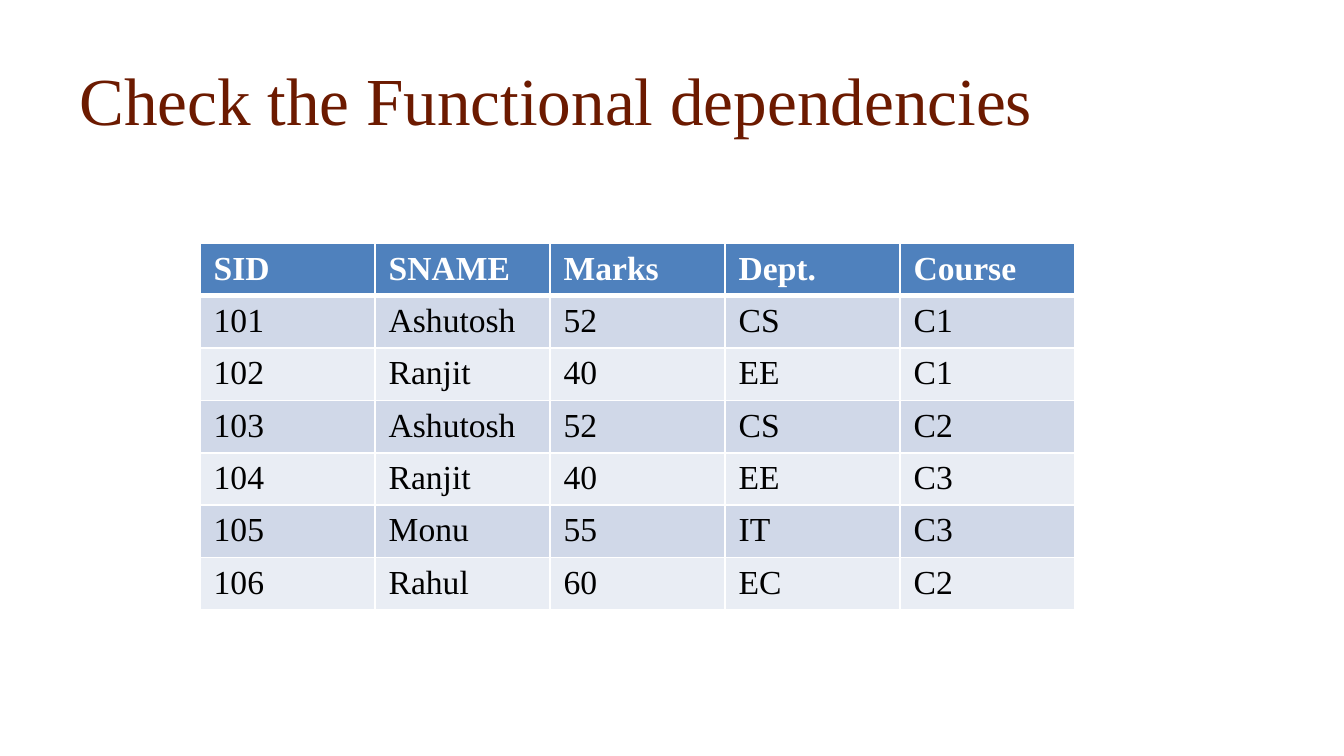
from dataclasses import dataclass

from lxml.etree import SubElement
from pptx import Presentation
from pptx.dml.color import RGBColor
from pptx.enum.text import MSO_ANCHOR, PP_ALIGN
from pptx.oxml.ns import qn
from pptx.util import Inches, Pt


@dataclass(frozen=True)
class Theme:
    font: str = "Times New Roman"
    title_size: int = 36
    cell_size: int = 18
    title: str = "6C1A00"
    header: str = "4F81BD"
    header_text: str = "FFFFFF"
    body_text: str = "000000"
    bands: tuple = ("D0D8E8", "E9EDF4")
    rule: str = "FFFFFF"
    thin: int = 1
    thick: int = 3


THEME = Theme()
WIDTH = Inches(10)
HEIGHT = WIDTH * 9 // 16
TITLE = "Check the Functional dependencies"
STUDENTS = [
    ("SID", "SNAME", "Marks", "Dept.", "Course"),
    ("101", "Ashutosh", "52", "CS", "C1"),
    ("102", "Ranjit", "40", "EE", "C1"),
    ("103", "Ashutosh", "52", "CS", "C2"),
    ("104", "Ranjit", "40", "EE", "C3"),
    ("105", "Monu", "55", "IT", "C3"),
    ("106", "Rahul", "60", "EC", "C2"),
]


def write(paragraph, text, size, color, bold=False):
    run = paragraph.add_run()
    run.text = text
    run.font.name = THEME.font
    run.font.size = Pt(size)
    run.font.bold = bold
    run.font.color.rgb = RGBColor.from_string(color)


def rule_cell(cell, top, bottom):
    properties = cell._tc.get_or_add_tcPr()
    sides = {"lnL": THEME.thin, "lnR": THEME.thin, "lnT": top, "lnB": bottom}
    for side, weight in sides.items():
        line = SubElement(properties, qn(f"a:{side}"), w=str(Pt(weight)))
        fill = SubElement(line, qn("a:solidFill"))
        SubElement(fill, qn("a:srgbClr"), val=THEME.rule)


def place_heading(slide, left, top, width, height):
    heading = slide.shapes.title
    heading.left, heading.top = left, top
    heading.width, heading.height = width, height
    frame = heading.text_frame
    frame.vertical_anchor = MSO_ANCHOR.MIDDLE
    frame.word_wrap = True
    paragraph = frame.paragraphs[0]
    paragraph.alignment = PP_ALIGN.LEFT
    write(paragraph, TITLE, THEME.title_size, THEME.title)


def place_students(slide, left, top, width, height):
    rows, columns = len(STUDENTS), len(STUDENTS[0])
    students = slide.shapes.add_table(rows, columns, left, top, width, height).table
    for row, record in enumerate(STUDENTS):
        is_header = row == 0
        background = THEME.header if is_header else THEME.bands[(row - 1) % 2]
        ink = THEME.header_text if is_header else THEME.body_text
        above = THEME.thick if row == 1 else THEME.thin
        below = THEME.thick if is_header else THEME.thin
        for column, value in enumerate(record):
            cell = students.cell(row, column)
            rule_cell(cell, above, below)
            cell.fill.solid()
            cell.fill.fore_color.rgb = RGBColor.from_string(background)
            write(cell.text_frame.paragraphs[0], value, THEME.cell_size, ink, is_header)


def percent_box(left, top, width, height):
    return (int(WIDTH * left / 100), int(HEIGHT * top / 100),
            int(WIDTH * width / 100), int(HEIGHT * height / 100))


def main():
    deck = Presentation()
    deck.slide_width, deck.slide_height = WIDTH, HEIGHT
    slide = deck.slides.add_slide(deck.slide_layouts[5])
    place_heading(slide, *percent_box(4.9, 5.5, 90.2, 15))
    place_students(slide, *percent_box(14.9, 32.2, 65.1, 48.5))
    deck.save("out.pptx")


if __name__ == "__main__":
    main()
